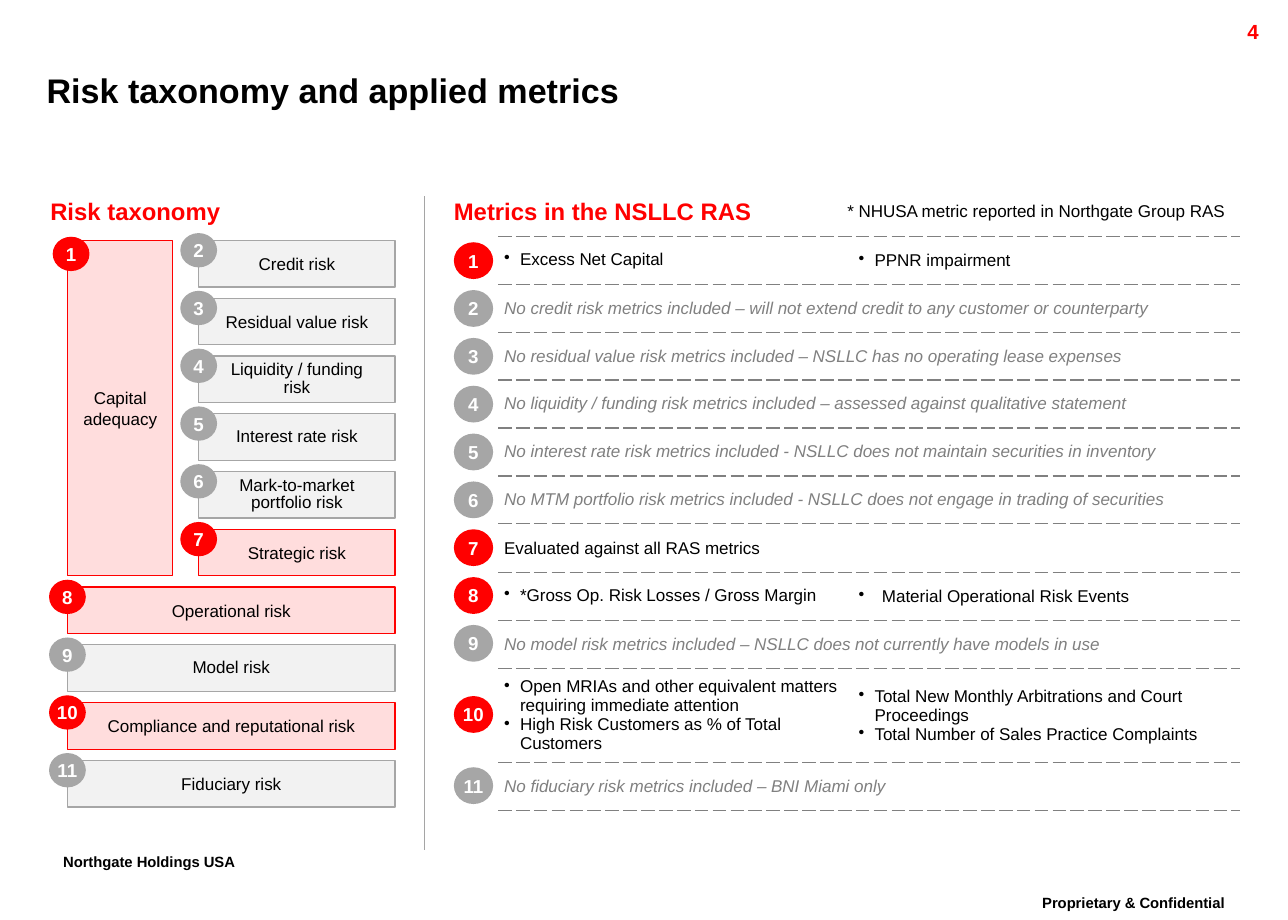
from lxml import etree
from pptx import Presentation
from pptx.dml.color import RGBColor
from pptx.enum.shapes import MSO_CONNECTOR, MSO_SHAPE
from pptx.enum.text import MSO_ANCHOR, PP_ALIGN
from pptx.oxml.ns import qn
from pptx.util import Inches, Pt

LEFT, CENTER, RIGHT = PP_ALIGN.LEFT, PP_ALIGN.CENTER, PP_ALIGN.RIGHT
TOP, MIDDLE = MSO_ANCHOR.TOP, MSO_ANCHOR.MIDDLE
RECTANGLE, OVAL = MSO_SHAPE.RECTANGLE, MSO_SHAPE.OVAL
STRAIGHT = MSO_CONNECTOR.STRAIGHT

FONT = "Arial"
BLACK, WHITE, RED, PINK = "000000", "FFFFFF", "FF0000", "FFDDDD"
GRAY, DARK_GRAY, LIGHT_GRAY, RULE_GRAY = "A6A6A6", "808080", "F2F2F2", "A5A5A5"
ACTIVE_RISKS = {1, 7, 8, 10}
TIGHT = 0.86

TEXTS = [
    ("Northgate Holdings USA", (0.26, 6.91, 1.91, 0.35),
     dict(size=15, bold=True, align=CENTER, spacing=TIGHT, baseline=30000, wrap=False)),
    ("Proprietary & Confidential", (8.15, 7.25, 2.18, 0.35),
     dict(size=15, bold=True, align=CENTER, spacing=TIGHT, baseline=30000)),
    ("4", (9.36, 0.11, 1, 0.24), dict(size=12, bold=True, color=RED, align=RIGHT)),
    ("Risk taxonomy and applied metrics", (0.38, 0.49, 9.48, 0.48),
     dict(size=20, bold=True, anchor=MIDDLE, insets=(0, 0, 0, 0))),
    ("Risk taxonomy", (0.41, 1.6, 2.98, 0.22),
     dict(size=14, bold=True, color=RED, insets=(0, 0, 0, 0))),
    ("Metrics in the NSLLC RAS", (3.7, 1.6, 3, 0.22),
     dict(size=14, bold=True, color=RED, insets=(0, 0, 0, 0))),
    ("* NHUSA metric reported in Northgate Group RAS", (6.78, 1.61, 3.33, 0.25),
     dict(align=CENTER, spacing=TIGHT, wrap=False)),
]

NARROW_RISKS = [
    ("Credit risk", 0.04, 1),
    ("Residual value risk", 0.04, 1),
    ("Liquidity / funding risk", 0.2, TIGHT),
    ("Interest rate risk", 0.04, TIGHT),
    ("Mark-to-market portfolio risk", 0.1, TIGHT),
    ("Strategic risk", 0.04, 1),
]
WIDE_RISKS = [
    ("Operational risk", 0.04, 1),
    ("Model risk", 0.04, TIGHT),
    ("Compliance and reputational risk", 0.04, 1),
    ("Fiduciary risk", 0.04, 1),
]

METRICS = [
    (["Excess Net Capital"], ["PPNR impairment"]),
    "No credit risk metrics included – will not extend credit to any customer or counterparty",
    "No residual value risk metrics included – NSLLC has no operating lease expenses",
    "No liquidity / funding risk metrics included – assessed against qualitative statement",
    "No interest rate risk metrics included - NSLLC does not maintain securities in inventory",
    "No MTM portfolio risk metrics included - NSLLC does not engage in trading of securities",
    "Evaluated against all RAS metrics",
    (["*Gross Op. Risk Losses / Gross Margin"], ["Material Operational Risk Events"]),
    "No model risk metrics included – NSLLC does not currently have models in use",
    (["Open MRIAs and other equivalent matters requiring immediate attention",
      "High Risk Customers as % of Total Customers"],
     ["Total New Monthly Arbitrations and Court Proceedings",
      "Total Number of Sales Practice Complaints"]),
    "No fiduciary risk metrics included – BNI Miami only",
]
TIGHT_BULLETS = {"Excess Net Capital", "*Gross Op. Risk Losses / Gross Margin"}
WIDE_BULLETS = {"Material Operational Risk Events"}

BOX_TOP, BOX_PITCH, BOX_HEIGHT, BOX_RIGHT = 1.96, 0.471, 0.38, 3.22
WIDE_LEFT, NARROW_LEFT = 0.55, 1.62
TABLE_LEFT, TABLE_TOP = 4.06, 1.93
COLUMN_WIDTHS = [2.89, 1.61, 1.55]
ROW_HEIGHTS = [0.39] * 9 + [0.77, 0.39]
BADGE_LEFT = 3.7


def rgb(value):
    return RGBColor.from_string(value)


def write(frame, text, size=10, bold=False, italic=False, color=BLACK, align=LEFT,
          anchor=TOP, insets=(0.1, 0.05, 0.1, 0.05), spacing=1, baseline=None,
          wrap=True, bullet_indent=None):
    frame.word_wrap = wrap
    frame.vertical_anchor = anchor
    (frame.margin_left, frame.margin_top,
     frame.margin_right, frame.margin_bottom) = map(Inches, insets)
    lines = [text] if isinstance(text, str) else text
    for index, line in enumerate(lines):
        paragraph = frame.add_paragraph() if index else frame.paragraphs[0]
        paragraph.alignment = align
        if spacing != 1:
            paragraph.line_spacing = spacing
        if bullet_indent:
            properties = paragraph._p.get_or_add_pPr()
            properties.set("marL", str(Inches(bullet_indent)))
            properties.set("indent", str(-Inches(bullet_indent)))
            etree.SubElement(properties, qn("a:buChar")).set("char", "•")
        run = paragraph.add_run()
        run.text = line
        font = run.font
        font.name, font.size, font.bold, font.italic = FONT, Pt(size), bold, italic
        font.color.rgb = rgb(color)
        if baseline:
            run._r.get_or_add_rPr().set("baseline", str(baseline))


def add_filled(slide, kind, bounds, text, fill, line=None, **text_format):
    shape = slide.shapes.add_shape(kind, *map(Inches, bounds))
    shape.shadow.inherit = False
    shape.fill.solid()
    shape.fill.fore_color.rgb = rgb(fill)
    if line:
        shape.line.color.rgb = rgb(line)
        shape.line.width = Pt(0.75)
    else:
        shape.line.fill.background()
    write(shape.text_frame, text, align=CENTER, anchor=MIDDLE, **text_format)


def add_badge(slide, number, left, top, width, height):
    add_filled(slide, OVAL, (left, top, width, height), str(number),
               RED if number in ACTIVE_RISKS else GRAY,
               size=11, bold=True, color=WHITE, wrap=False)


def add_risk(slide, number, label, left, top, width, height, side=0.04, spacing=1,
             badge_offset=(-0.15, -0.06)):
    fill, line = (PINK, RED) if number in ACTIVE_RISKS else (LIGHT_GRAY, GRAY)
    add_filled(slide, RECTANGLE, (left, top, width, height), label, fill, line,
               insets=(side, 0.04, side, 0.04), spacing=spacing)
    add_badge(slide, number, left + badge_offset[0], top + badge_offset[1], 0.3, 0.28)


def add_taxonomy(slide):
    capital_height = BOX_PITCH * (len(NARROW_RISKS) - 1) + BOX_HEIGHT
    add_risk(slide, 1, "Capital adequacy", WIDE_LEFT, BOX_TOP, 0.86, capital_height,
             badge_offset=(-0.12, -0.03))
    for index, (label, side, spacing) in enumerate(NARROW_RISKS + WIDE_RISKS):
        left = NARROW_LEFT if index < len(NARROW_RISKS) else WIDE_LEFT
        add_risk(slide, index + 2, label, left, BOX_TOP + BOX_PITCH * index,
                 BOX_RIGHT - left, BOX_HEIGHT, side, spacing)


def set_borders(cell):
    properties = cell._tc.get_or_add_tcPr()
    for edge in ("lnL", "lnR", "lnT", "lnB"):
        line = etree.SubElement(properties, qn("a:" + edge))
        if edge in ("lnL", "lnR"):
            etree.SubElement(line, qn("a:noFill"))
            continue
        line.set("w", str(Pt(1)))
        fill = etree.SubElement(line, qn("a:solidFill"))
        etree.SubElement(fill, qn("a:srgbClr")).set("val", DARK_GRAY)
        etree.SubElement(line, qn("a:prstDash")).set("val", "sysDash")


def write_cell(cell, text, **text_format):
    write(cell.text_frame, text, insets=(0.05, 0.05, 0.11, 0.05), **text_format)
    cell.vertical_anchor = MIDDLE
    cell.margin_left = cell.margin_top = cell.margin_bottom = Inches(0.05)
    cell.margin_right = Inches(0.11)


def add_metrics(slide):
    bounds = (TABLE_LEFT, TABLE_TOP, sum(COLUMN_WIDTHS), sum(ROW_HEIGHTS))
    table = slide.shapes.add_table(len(METRICS), len(COLUMN_WIDTHS),
                                   *map(Inches, bounds)).table
    table.first_row = table.horz_banding = False
    for column, width in zip(table.columns, COLUMN_WIDTHS):
        column.width = Inches(width)
    top = TABLE_TOP
    for index, (metric, height) in enumerate(zip(METRICS, ROW_HEIGHTS)):
        number = index + 1
        table.rows[index].height = Inches(height)
        cells = [table.cell(index, column) for column in range(len(COLUMN_WIDTHS))]
        for cell in cells:
            set_borders(cell)
            cell.fill.background()
        if isinstance(metric, str):
            active = number in ACTIVE_RISKS
            cells[0].merge(cells[1] if active else cells[2])
            write_cell(cells[0], metric, italic=not active,
                       color=BLACK if active else DARK_GRAY)
        else:
            cells[1].merge(cells[2])
            for cell, bullets in zip(cells, metric):
                write_cell(cell, bullets,
                           spacing=TIGHT if bullets[0] in TIGHT_BULLETS else 1,
                           bullet_indent=0.19 if bullets[0] in WIDE_BULLETS else 0.13)
        add_badge(slide, number, BADGE_LEFT, top + height / 2 - 0.15, 0.32, 0.3)
        top += height


def main():
    presentation = Presentation()
    presentation.slide_width, presentation.slide_height = Inches(10.5), Inches(7.5)
    slide = presentation.slides.add_slide(presentation.slide_layouts[6])
    for text, bounds, text_format in TEXTS:
        box = slide.shapes.add_textbox(*map(Inches, bounds))
        write(box.text_frame, text, **text_format)
    add_metrics(slide)
    add_taxonomy(slide)
    divider = slide.shapes.add_connector(STRAIGHT, *map(Inches, (3.46, 1.6, 3.46, 6.93)))
    divider.line.color.rgb = rgb(RULE_GRAY)
    divider.line.width = Pt(0.75)
    etree.SubElement(divider._element.spPr, qn("a:effectLst"))
    presentation.save("out.pptx")


if __name__ == "__main__":
    main()
